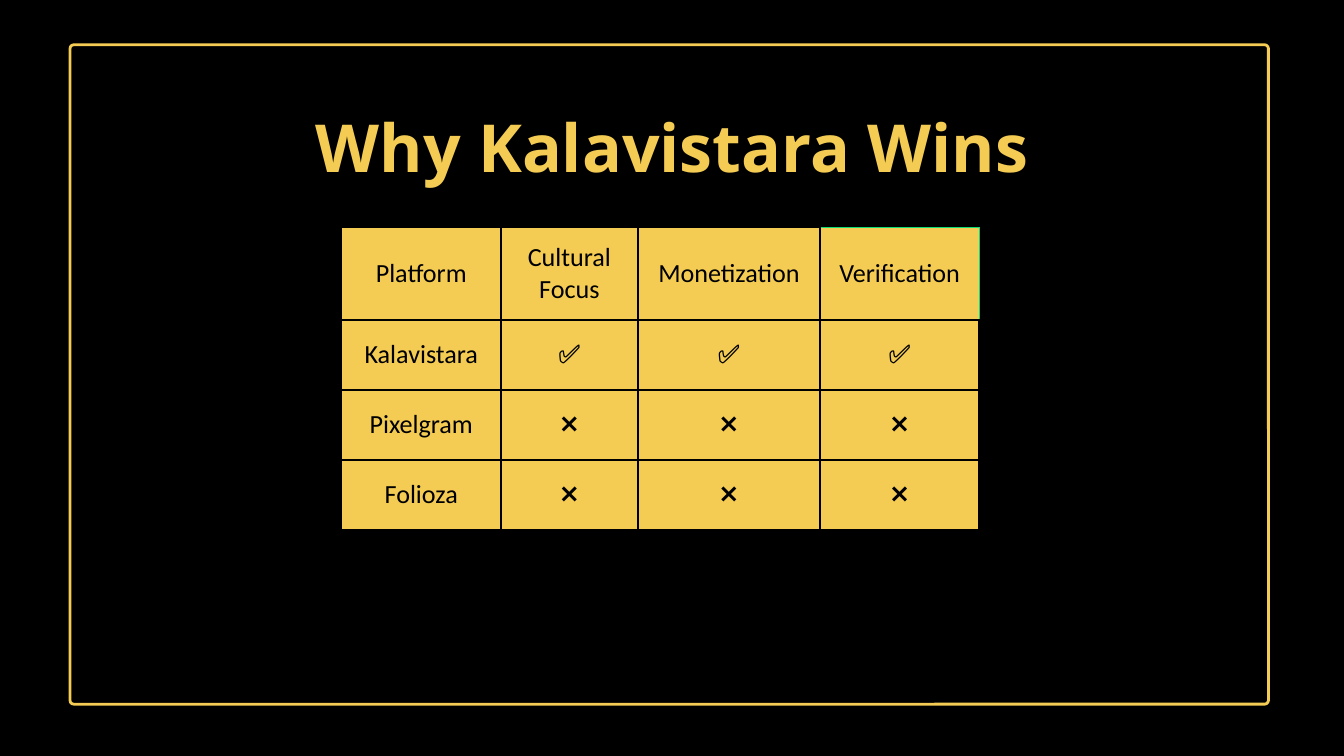
from lxml import etree
from pptx import Presentation
from pptx.dml.color import RGBColor
from pptx.enum import shapes, text
from pptx.oxml import ns
from pptx.util import Pt

BLACK = RGBColor(0x00, 0x00, 0x00)
GOLD = RGBColor(0xF4, 0xCC, 0x54)
GREEN = RGBColor(0x10, 0xDE, 0x74)

COLUMN_WIDTHS = [170.6, 146.9, 195.1, 170.6]
ROW_HEIGHTS = [99.4, 74.9, 74.9, 74.9]
COMPARISON = [
    ["Platform", "Cultural Focus", "Monetization", "Verification"],
    ["Kalavistara"] + ["✅"] * 3,
    ["Pixelgram"] + ["❌"] * 3,
    ["Folioza"] + ["❌"] * 3,
]


def make_line(tag, color, width):
    line = etree.Element(ns.qn(tag), w=str(Pt(width)))
    fill = etree.SubElement(line, ns.qn("a:solidFill"))
    etree.SubElement(fill, ns.qn("a:srgbClr"), val=str(color))
    return line


def add_frame(slide, left, top, width, height):
    frame = slide.shapes.add_shape(
        shapes.MSO_SHAPE.ROUNDED_RECTANGLE, Pt(left), Pt(top), Pt(width), Pt(height))
    frame.adjustments[0] = 4 / height
    frame.shadow.inherit = False
    frame.fill.background()
    frame.line.color.rgb = GOLD
    frame.line.width = Pt(3)


def add_title(slide, left, top, width, height):
    title = slide.shapes.add_textbox(Pt(left), Pt(top), Pt(width), Pt(height)).text_frame
    title.word_wrap = True
    title.margin_left = title.margin_right = title.margin_top = title.margin_bottom = 0
    headline = title.paragraphs[0]
    headline.text = "Why Kalavistara Wins"
    headline.alignment = text.PP_ALIGN.CENTER
    headline.line_spacing = Pt(99.2)
    font = headline.runs[0].font
    font.name, font.size, font.bold = "Noto Sans", Pt(70.9), True
    font.color.rgb = GOLD


def cell_borders(row, column):
    last_row, last_column = len(ROW_HEIGHTS) - 1, len(COLUMN_WIDTHS) - 1
    borders = {
        "a:lnL": (BLACK, 1.8 if column == 0 else 3),
        "a:lnR": (BLACK, 1.8 if column == last_column else 3),
        "a:lnT": (BLACK, 1.8 if row == 0 else 3),
        "a:lnB": (BLACK, 1.8 if row == last_row else 3),
    }
    if row == 0 and column == last_column:
        borders["a:lnR"] = (GREEN, 0.6)
        borders["a:lnT"] = (GREEN, 1.8)
    return borders


def fill_cell(cell, words, borders):
    cell.text_frame.text = words
    cell.vertical_anchor = text.MSO_ANCHOR.MIDDLE
    cell.margin_left = cell.margin_right = Pt(1.4)
    cell.margin_top = cell.margin_bottom = Pt(0.7)
    cell.fill.solid()
    cell.fill.fore_color.rgb = GOLD
    properties = cell._tc.get_or_add_tcPr()
    for position, (side, (color, width)) in enumerate(borders.items()):
        properties.insert(position, make_line(side, color, width))
    entry = cell.text_frame.paragraphs[0]
    entry.alignment = text.PP_ALIGN.CENTER
    run = entry.runs[0]
    run.font.name, run.font.size = "Calibri", Pt(28)
    run.font.color.rgb = BLACK
    run.font._element.insert(0, make_line("a:ln", BLACK, 0.75))


def add_comparison(slide, left, top):
    table = slide.shapes.add_table(
        len(ROW_HEIGHTS), len(COLUMN_WIDTHS), Pt(left), Pt(top),
        Pt(sum(COLUMN_WIDTHS)), Pt(sum(ROW_HEIGHTS))).table
    table.first_row = table.horz_banding = False
    for column, width in zip(table.columns, COLUMN_WIDTHS):
        column.width = Pt(width)
    for row, height in zip(table.rows, ROW_HEIGHTS):
        row.height = Pt(height)
    for r, entries in enumerate(COMPARISON):
        for c, words in enumerate(entries):
            fill_cell(table.cell(r, c), words, cell_borders(r, c))


def main():
    deck = Presentation()
    deck.slide_width, deck.slide_height = Pt(1440), Pt(810)
    slide = deck.slides.add_slide(deck.slide_layouts[6])
    slide.background.fill.solid()
    slide.background.fill.fore_color.rgb = BLACK
    add_frame(slide, 75, 48, 1284, 706.5)
    add_title(slide, 64.8, 100, 1310.4, 96)
    add_comparison(slide, 366, 243.5)
    deck.save("out.pptx")


if __name__ == "__main__":
    main()
